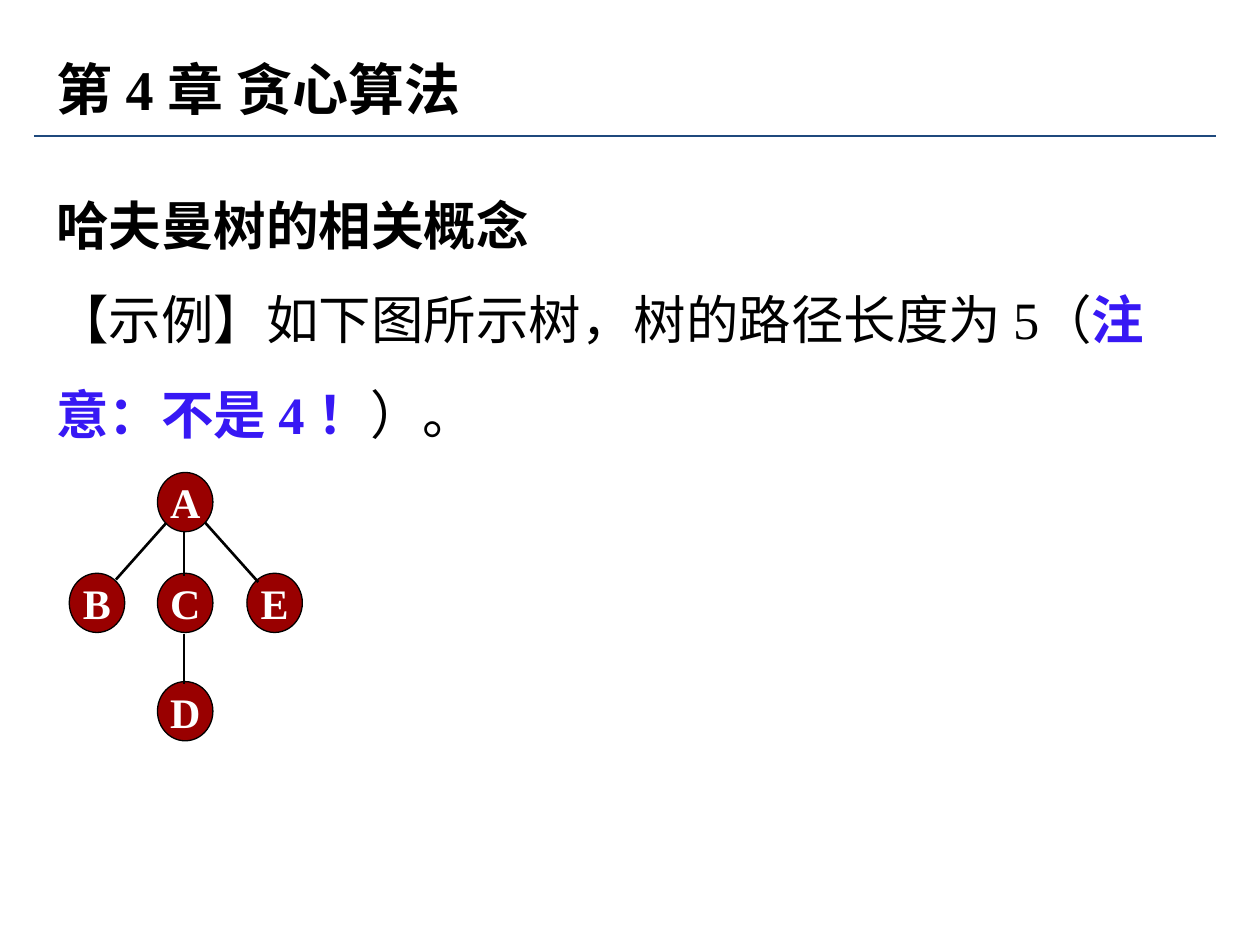
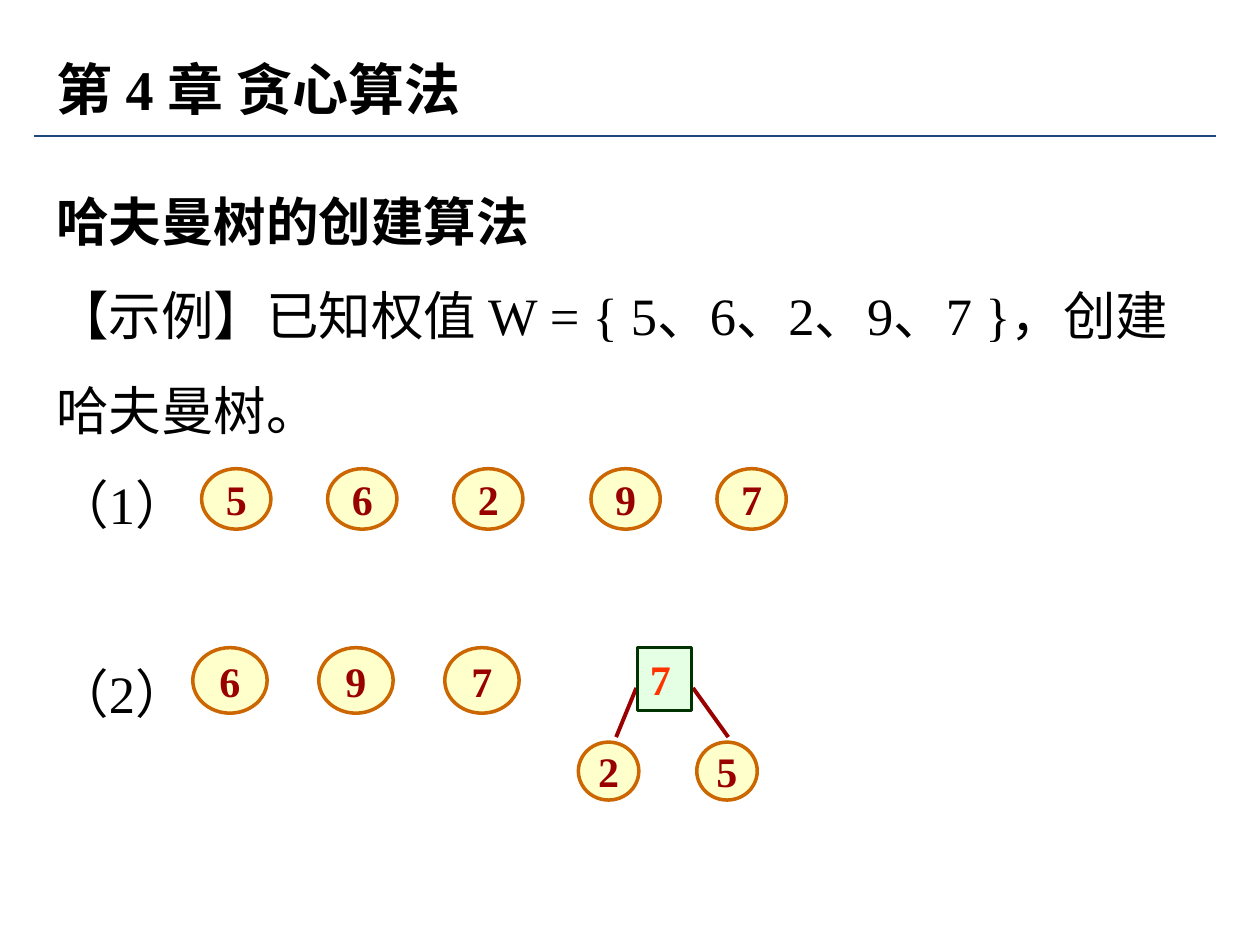
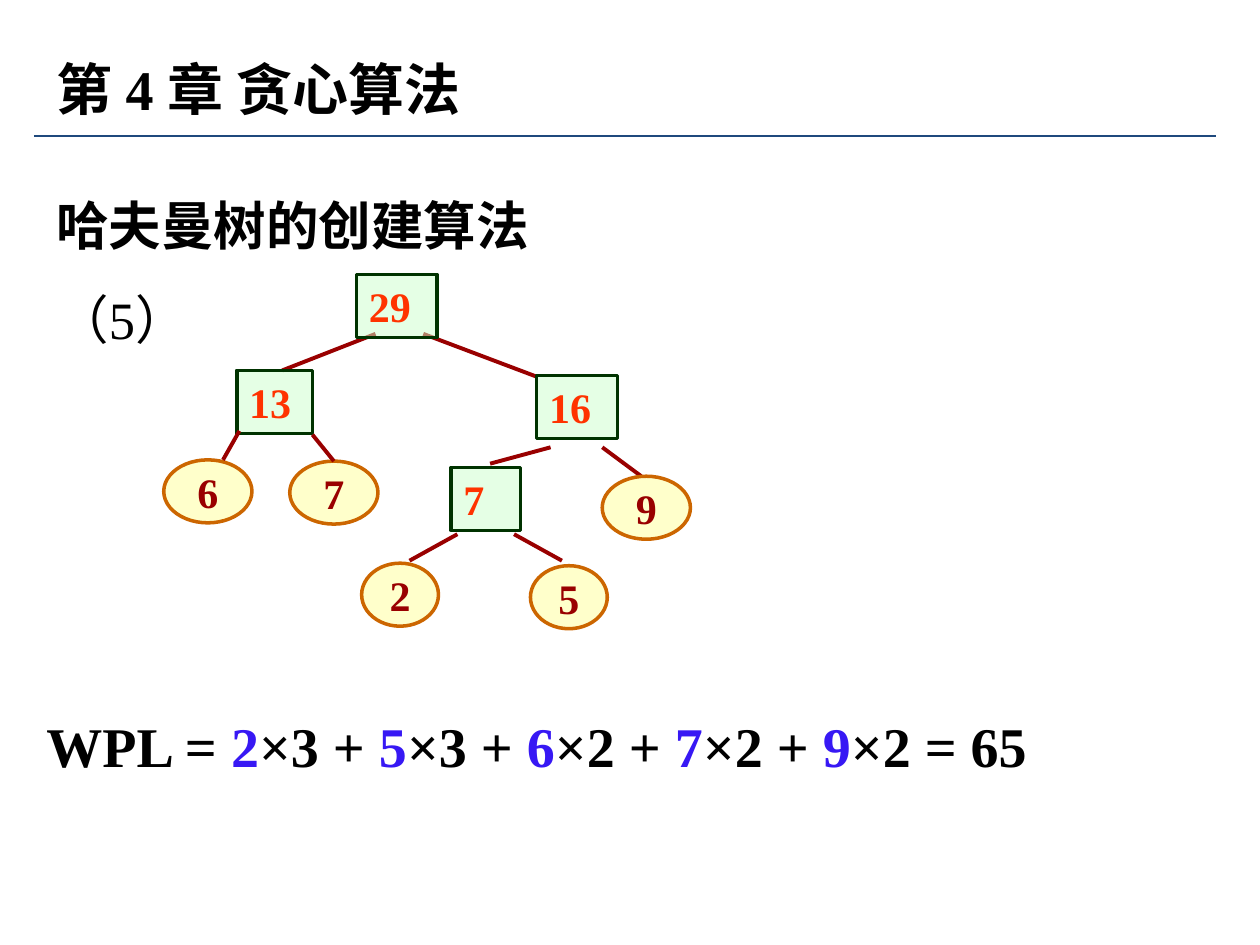
import dataclasses

import lxml.etree
import pptx
import pptx.dml.color
import pptx.enum.shapes
import pptx.enum.text
import pptx.oxml.ns
import pptx.util

Inches = pptx.util.Inches
Pt = pptx.util.Pt
SHAPE = pptx.enum.shapes.MSO_SHAPE
ALIGN = pptx.enum.text.PP_ALIGN
ANCHOR = pptx.enum.text.MSO_ANCHOR
FIT = pptx.enum.text.MSO_AUTO_SIZE
qn = pptx.oxml.ns.qn


@dataclasses.dataclass(frozen=True)
class Theme:
    font: str = "Times New Roman"
    ink: str = "000000"
    white: str = "FFFFFF"
    rule: str = "1F497D"
    mark: str = "3718F4"
    red: str = "990000"
    leaf: str = "FFFF99"
    rim: str = "CC6600"
    box: str = "CCFFCC"
    edge: str = "003300"
    sum: str = "FF3300"
    head: int = 32
    body: int = 30
    node: int = 24


def rgb(code):
    return pptx.dml.color.RGBColor.from_string(code)


class Deck:
    def __init__(self, theme):
        self.theme = theme
        self.file = pptx.Presentation()
        self.file.slide_width = Inches(10)
        self.file.slide_height = Inches(7.5)
        self.slide = None

    def start(self, title):
        """Add a slide with the shared title and rule."""
        self.slide = self.file.slides.add_slide(self.file.slide_layouts[5])
        self.line((0.27, 1.08), (9.65, 1.08), self.theme.rule, 1.5)
        shape = self.slide.shapes.title
        self.place(shape, 0.35, 0.38, 6.46, 0.64)
        frame = shape.text_frame
        frame.text = title
        frame.vertical_anchor = ANCHOR.TOP
        frame.auto_size = FIT.SHAPE_TO_FIT_TEXT
        frame.paragraphs[0].alignment = ALIGN.LEFT
        self.style(frame.paragraphs[0].runs[0], self.theme.head, self.theme.ink)

    def place(self, shape, left, top, width, height):
        shape.left, shape.top = Inches(left), Inches(top)
        shape.width, shape.height = Inches(width), Inches(height)

    def style(self, run, size, color, bold=True):
        run.font.name = self.theme.font
        run.font.size = Pt(size)
        run.font.bold = bold
        run.font.color.rgb = rgb(color)

    def text(self, spot, paras, size):
        """Each paragraph is a list of (text, color, bold) runs."""
        shape = self.slide.shapes.add_textbox(*map(Inches, spot))
        frame = shape.text_frame
        frame.word_wrap = True
        frame.auto_size = FIT.SHAPE_TO_FIT_TEXT
        for count, parts in enumerate(paras):
            para = frame.add_paragraph() if count else frame.paragraphs[0]
            para.line_spacing = 1.5
            for words, color, bold in parts:
                run = para.add_run()
                run.text = words
                self.style(run, size, color, bold)
        return frame

    def line(self, start, end, color, width):
        line = self.slide.shapes.add_connector(
            pptx.enum.shapes.MSO_CONNECTOR.STRAIGHT, *map(Inches, start + end))
        line.line.color.rgb = rgb(color)
        line.line.width = Pt(width)
        lxml.etree.SubElement(line._element.spPr, qn("a:effectLst"))

    def lines(self, pairs, color, width):
        for start, end in pairs:
            self.line(start, end, color, width)

    def shape(self, kind, label, spot, fill, rim, width, color, alpha=None):
        shape = self.slide.shapes.add_shape(kind, *map(Inches, spot))
        shape.shadow.inherit = False
        shape.fill.solid()
        shape.fill.fore_color.rgb = rgb(fill)
        if alpha:
            tint = shape._element.spPr.find(qn("a:solidFill")).find(qn("a:srgbClr"))
            lxml.etree.SubElement(tint, qn("a:alpha")).set("val", str(alpha * 1000))
        shape.line.color.rgb = rgb(rim)
        shape.line.width = Pt(width)
        frame = shape.text_frame
        frame.text = label
        frame.word_wrap = False
        frame.vertical_anchor = ANCHOR.MIDDLE
        frame.paragraphs[0].alignment = ALIGN.CENTER
        self.style(frame.paragraphs[0].runs[0], self.theme.node, color)
        return frame

    def node(self, label, left, top):
        look = self.theme
        self.shape(SHAPE.OVAL, label, (left, top, 0.44, 0.47),
                   look.red, look.ink, 0.75, look.white)

    def leaf(self, label, *spot):
        look = self.theme
        self.shape(SHAPE.OVAL, label, spot, look.leaf, look.rim, 2, look.red, 50)

    def box(self, label, left, top, width):
        look = self.theme
        frame = self.shape(SHAPE.RECTANGLE, label, (left, top, width, 0.5),
                           look.box, look.edge, 2, look.sum, 50)
        frame.word_wrap = True
        frame.vertical_anchor = ANCHOR.TOP
        frame.auto_size = FIT.SHAPE_TO_FIT_TEXT
        frame.paragraphs[0].alignment = ALIGN.LEFT


CHAPTER = "第 4 章 贪心算法"
BUILD = "哈夫曼树的创建算法"


def terms(deck):
    look = deck.theme
    deck.start(CHAPTER)
    deck.text((0.35, 1.23, 9.06, 2.35), [
        [("哈夫曼树的相关概念", look.ink, True)],
        [("【示例】如下图所示树，树的路径长度为 5（", look.ink, False),
         ("注意：不是 4 ！", look.mark, True),
         ("）。", look.ink, False)],
    ], look.body)

    # Sample tree
    for label, left, top in (("A", 1.25, 3.75), ("C", 1.25, 4.55), ("B", 0.55, 4.55),
                             ("E", 1.96, 4.55), ("D", 1.25, 5.41)):
        deck.node(label, left, top)
    deck.lines([((1.46, 4.22), (1.46, 4.57)), ((1.46, 5.03), (1.46, 5.43)),
                ((1.32, 4.15), (0.92, 4.6)), ((1.63, 4.15), (2.05, 4.62))],
               look.ink, 1.5)


def first(deck):
    look = deck.theme
    deck.start(CHAPTER)
    frame = deck.text((0.35, 1.2, 9.06, 4.6), [
        [(BUILD, look.ink, True)],
        [("【示例】已知权值 W = { 5、6、2、9、7 }，创建哈夫曼树。", look.ink, False)],
        [("（1）", look.ink, False)],
        [("（2）", look.ink, False)],
    ], look.body)
    frame.paragraphs[3].space_before = Pt(54)

    # Step 1: all weights
    for label, left in zip("56297", (1.6, 2.6, 3.6, 4.69, 5.69)):
        deck.leaf(label, left, 3.72, 0.55, 0.48)

    # Step 2: the two least weights are joined
    for count, label in enumerate("697"):
        deck.leaf(label, 1.53 + count, 5.14, 0.59, 0.52)
    deck.lines([((5.05, 5.46), (4.89, 5.85)), ((5.5, 5.46), (5.78, 5.85))],
               look.red, 2.25)
    deck.box("7", 5.06, 5.14, 0.43)
    for label, left in (("2", 4.59), ("5", 5.53)):
        deck.leaf(label, left, 5.89, 0.48, 0.46)


def final(deck):
    look = deck.theme
    deck.start(CHAPTER)
    deck.text((0.35, 1.23, 9.06, 1.6),
              [[(BUILD, look.ink, True)], [("（5）", look.ink, False)]], look.body)

    # Full tree
    deck.lines([((2.98, 2.65), (2.24, 2.94)), ((3.36, 2.65), (4.26, 2.99)),
                ((3.63, 4.24), (3.25, 4.45)), ((4.08, 4.24), (4.46, 4.45)),
                ((4.78, 3.55), (5.09, 3.78)), ((4.37, 3.55), (3.89, 3.68))],
               look.red, 2.25)
    for label, left, top, width in (("9", 4.78, 3.78, 0.7), ("5", 4.21, 4.49, 0.61),
                                    ("2", 2.87, 4.47, 0.61), ("6", 1.3, 3.65, 0.7),
                                    ("7", 2.3, 3.66, 0.7)):
        deck.leaf(label, left, top, width, 0.5)
    for label, left, top, width in (("7", 3.58, 3.71, 0.55), ("16", 4.26, 2.98, 0.64),
                                    ("13", 1.88, 2.94, 0.6), ("29", 2.83, 2.18, 0.64)):
        deck.box(label, left, top, width)
    deck.lines([((1.9, 3.42), (1.77, 3.65)), ((2.48, 3.45), (2.65, 3.66))],
               look.red, 2.25)

    # Weighted path length
    parts = ("WPL = ", "2", "×3 + ", "5", "×3 + ", "6", "×2 + ", "7", "×2 + ",
             "9", "×2 = 65")
    runs = [(part, look.mark if part.isdigit() else look.ink, True) for part in parts]
    deck.text((0.27, 5.33, 9.29, 0.9), [runs], look.head)


def main():
    deck = Deck(Theme())
    terms(deck)
    first(deck)
    final(deck)
    deck.file.save("out.pptx")


if __name__ == "__main__":
    main()
